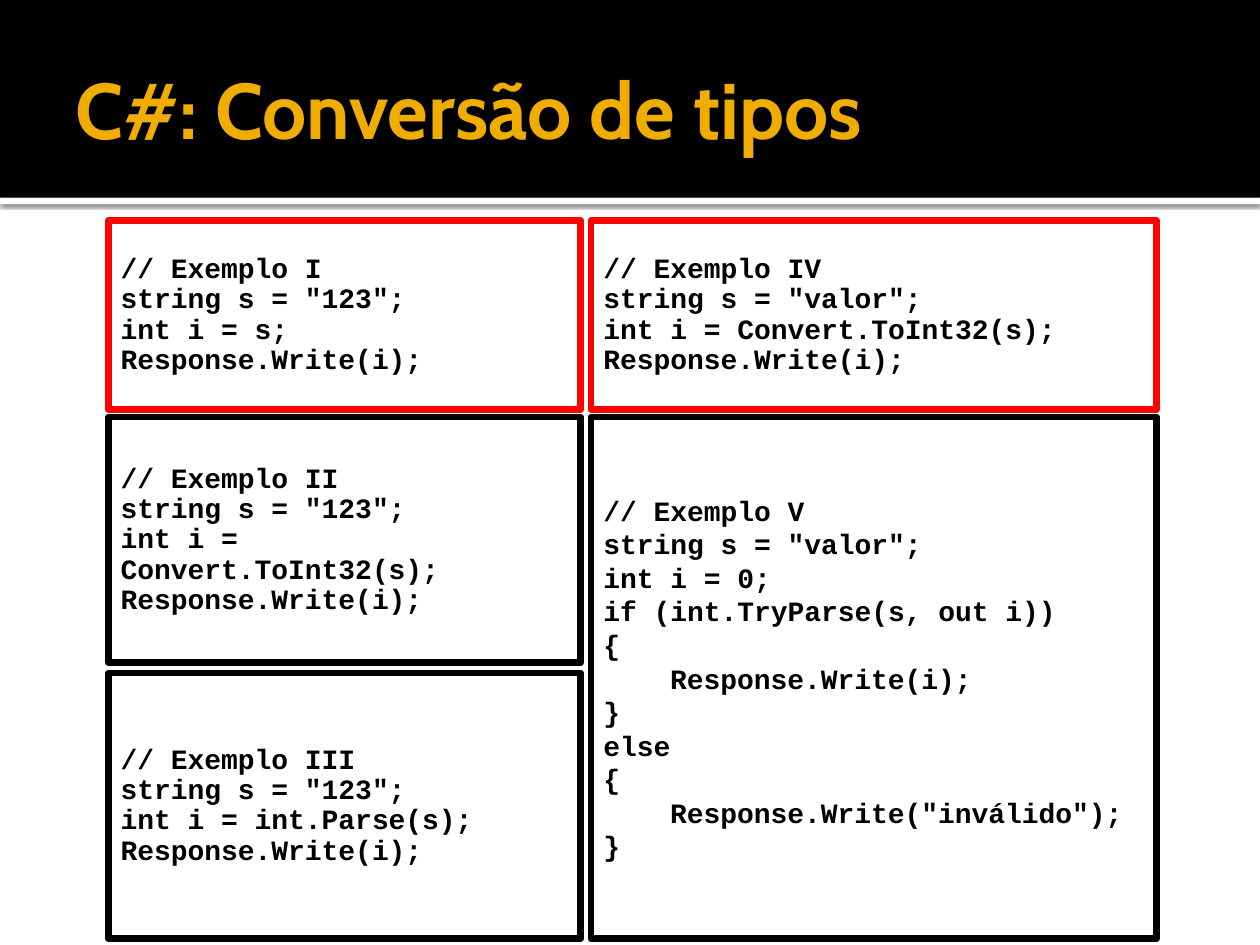
from lxml.etree import SubElement
from pptx import Presentation
from pptx.dml.color import RGBColor
from pptx.enum.shapes import MSO_SHAPE
from pptx.enum.text import MSO_ANCHOR, PP_ALIGN
from pptx.oxml.ns import qn
from pptx.util import Inches, Pt

COLORS = {"black": "000000", "white": "FFFFFF", "gold": "F0AD00", "red": "FF0000"}
CODE_FONT = {"name": "Courier New", "size": Pt(16), "bold": True}
TITLE_FONT = {"name": "Cabin", "size": Pt(45), "bold": True}
INDENT = 0.53  # four characters of code

# Grid of example boxes
LEFT_COL, RIGHT_COL = (0.86, 3.75), (4.69, 4.49)
TOP_ROW, MID_ROW, LOW_ROW, TALL_ROW = (1.75, 1.5), (3.31, 1.95), (5.34, 2.11), (3.31, 4.14)

# Column, row, line colour, line spacing, code lines (a tab marks an indent)
EXAMPLES = [
    (LEFT_COL, TOP_ROW, "red", 0.9,
     ["// Exemplo I", 'string s = "123";', "int i = s;", "Response.Write(i);"]),
    (LEFT_COL, MID_ROW, "black", 0.9,
     ["// Exemplo II", 'string s = "123";', "int i = Convert.ToInt32(s);",
      "Response.Write(i);"]),
    (LEFT_COL, LOW_ROW, "black", 0.9,
     ["// Exemplo III", 'string s = "123";', "int i = int.Parse(s);",
      "Response.Write(i);"]),
    (RIGHT_COL, TALL_ROW, "black", 1.0,
     ["// Exemplo V", 'string s = "valor";', "int i = 0;",
      "if (int.TryParse(s, out i))", "{", "\tResponse.Write(i);", "}",
      "else", "{", '\tResponse.Write("inválido");', "}"]),
    (RIGHT_COL, TOP_ROW, "red", 0.9,
     ["// Exemplo IV", 'string s = "valor";', "int i = Convert.ToInt32(s);",
      "Response.Write(i);"]),
]


def rgb(name):
    return RGBColor.from_string(COLORS[name])


def add_rect(slide, x, y, w, h, fill, line=None):
    sp = slide.shapes.add_shape(MSO_SHAPE.RECTANGLE, *map(Inches, (x, y, w, h)))
    sp.shadow.inherit = False
    sp.fill.solid()
    sp.fill.fore_color.rgb = rgb(fill)
    if line:
        sp.line.color.rgb = rgb(line)
        sp.line.width = Pt(3.78)
        SubElement(sp.line._get_or_add_ln(), qn("a:round"))
    else:
        sp.line.fill.background()
    return sp


def add_run(p, text, font, color):
    r = p.add_run()
    r.text = text
    for key, value in font.items():
        setattr(r.font, key, value)
    r.font.color.rgb = rgb(color)


def add_shadow(sp):
    effects = sp._element.spPr.find(qn("a:effectLst"))
    shadow = SubElement(effects, qn("a:outerShdw"), blurRad=str(Pt(2.5)),
                        dist=str(Pt(0.8)), dir="5400000", rotWithShape="0")
    clr = SubElement(shadow, qn("a:srgbClr"), val=COLORS["black"])
    SubElement(clr, qn("a:alpha"), val="60000")


def add_header(slide, x, y, w, h, title):
    # White strip with a shadow below the black band
    add_shadow(add_rect(slide, x, y + h, w, 0.05, "white"))
    add_rect(slide, x, y, w, h, "black")

    # Title
    sp = slide.shapes.title
    sp.left, sp.top = Inches(x + 0.5), Inches(y + 0.17)
    sp.width, sp.height = Inches(w - 1), Inches(h - 0.2)
    slide.shapes._spTree.append(sp._element)
    tf = sp.text_frame
    frame = {"word_wrap": True, "vertical_anchor": MSO_ANCHOR.MIDDLE,
             "margin_left": Inches(0.1), "margin_right": Inches(0.05),
             "margin_top": Inches(0.05), "margin_bottom": Inches(0.05)}
    for key, value in frame.items():
        setattr(tf, key, value)
    p = tf.paragraphs[0]
    p.alignment = PP_ALIGN.LEFT
    add_run(p, title, TITLE_FONT, "gold")


def add_example(slide, x, y, w, h, line, spacing, code):
    tf = add_rect(slide, x, y, w, h, "white", line).text_frame
    tf.word_wrap = True
    tf.vertical_anchor = MSO_ANCHOR.MIDDLE
    for i, text in enumerate(code):
        p = tf.add_paragraph() if i else tf.paragraphs[0]
        p.alignment = PP_ALIGN.LEFT
        p.line_spacing = spacing
        if text.startswith("\t"):
            p._p.get_or_add_pPr().set("marL", str(Inches(INDENT)))
        add_run(p, text.strip(), CODE_FONT, "black")


prs = Presentation()
prs.slide_width, prs.slide_height = Inches(10), Inches(7.5)
# The title-only layout keeps the heading a real title
slide = prs.slides.add_slide(prs.slide_layouts.get_by_name("Title Only"))
add_header(slide, 0, 0, 10, 1.57, "C#: Conversão de tipos")
for (x, w), (y, h), line, spacing, code in EXAMPLES:
    add_example(slide, x, y, w, h, line, spacing, code)
prs.save("out.pptx")
